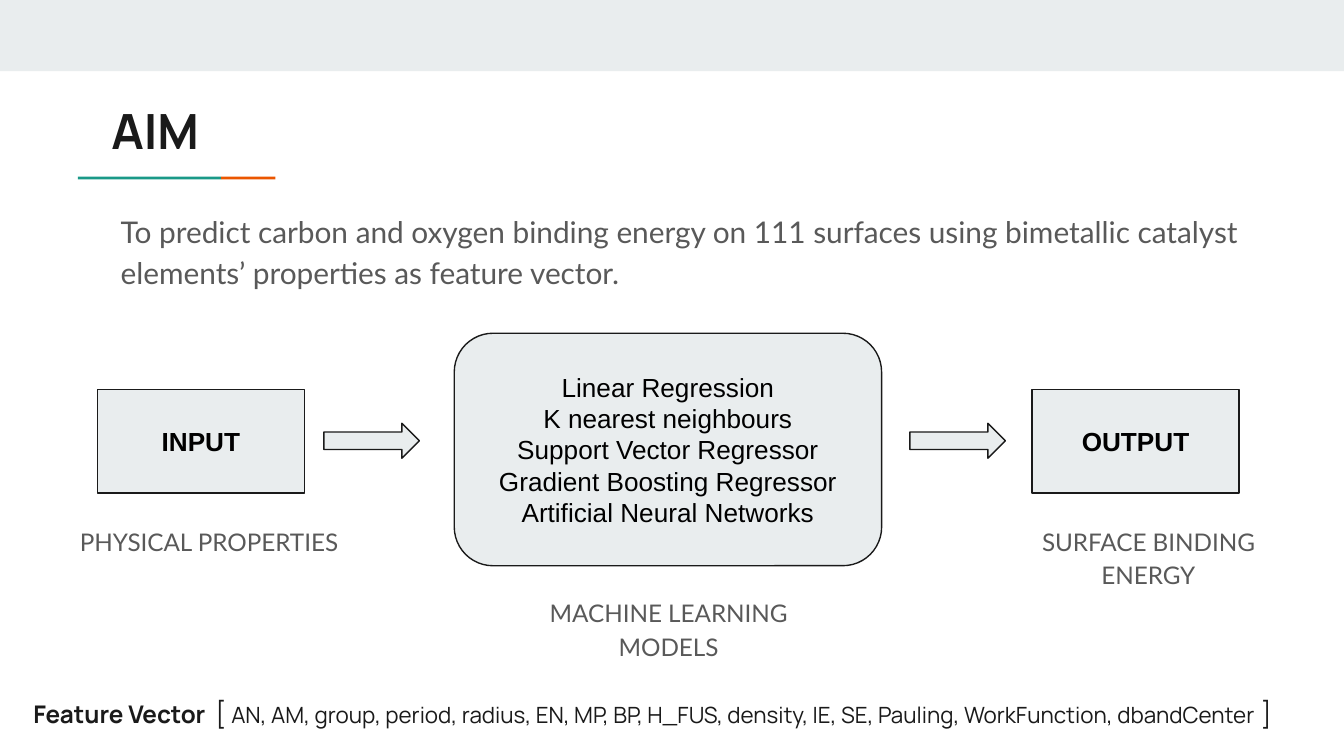
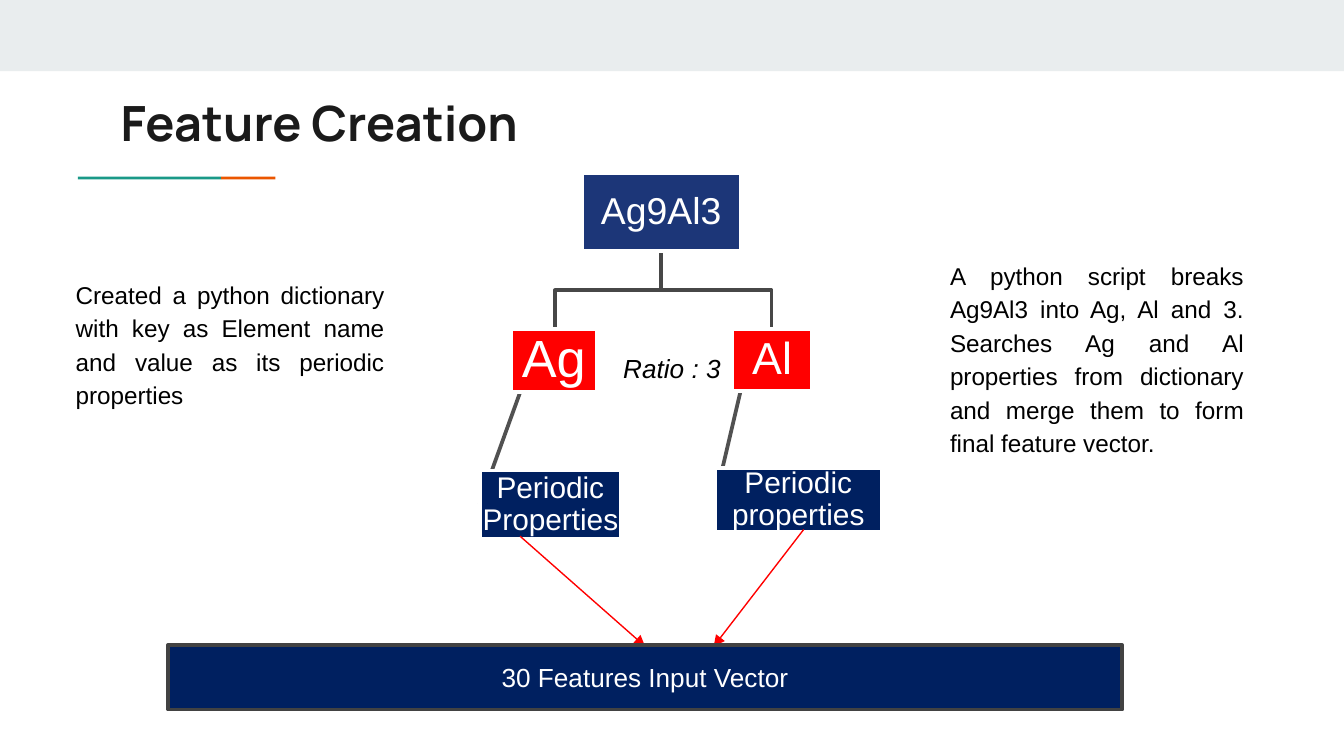
from dataclasses import dataclass

from lxml.etree import SubElement
from pptx import Presentation
from pptx.dml.color import RGBColor as RGB
from pptx.enum.shapes import MSO_CONNECTOR as Link, MSO_SHAPE as Kind
from pptx.enum.text import MSO_ANCHOR as Anchor, PP_ALIGN as Align
from pptx.oxml.ns import qn
from pptx.util import Inches, Pt

# The grid has cells of a tenth of an inch.
COLS, ROWS = 100, 56.25


@dataclass(frozen=True)
class Theme:
    pale: str = "E9EDEE"
    teal: str = "1A9988"
    orange: str = "EB5600"
    ink: str = "1A1A1A"
    grey: str = "595959"
    black: str = "000000"
    white: str = "FFFFFF"
    blue: str = "1C3678"
    navy: str = "002060"
    red: str = "FF0000"
    fork: str = "474747"
    stem: str = "515151"
    edge: str = "424242"
    head: str = "Manrope"
    body: str = "Lato"
    sans: str = "Arial"
    title: int = 26
    lead: int = 16
    label: int = 14
    note: int = 13
    small: int = 12
    thin: float = 0.75
    thick: float = 2


T = Theme()


def cells(*nums):
    return [Inches(n / 10) for n in nums]


def style(font, name, size, color, bold=False, italic=False):
    font.name, font.size = name, Pt(size)
    font.bold, font.italic = bold, italic
    font.color.rgb = RGB.from_string(color)


def stroke(line, color, width):
    line.color.rgb = RGB.from_string(color)
    line.width = Pt(width)


def write(shape, text, name, size, color, align=Align.LEFT, space=1.0,
          anchor=Anchor.TOP, inset=1, **face):
    """Fill a shape with one paragraph for each line of text."""
    frame = shape.text_frame
    frame.word_wrap = True
    frame.vertical_anchor = anchor
    pad, = cells(inset)
    frame.margin_left = frame.margin_right = pad
    frame.margin_top = frame.margin_bottom = pad
    frame.text = text
    for para in frame.paragraphs:
        para.alignment = align
        para.line_spacing = space
        style(para.font, name, size, color, **face)


def label(slide, at, text, *font, **look):
    write(slide.shapes.add_textbox(*cells(*at)), text, *font, **look)


def block(slide, at, fill, line=None, kind=Kind.RECTANGLE):
    """Draw a flat preset shape; line is a colour and a width."""
    shape = slide.shapes.add_shape(kind, *cells(*at))
    shape.shadow.inherit = False
    shape.fill.solid()
    shape.fill.fore_color.rgb = RGB.from_string(fill)
    if line:
        stroke(shape.line, *line)
    else:
        shape.line.fill.background()
    return shape


def panel(slide, at, text, bold=False, kind=Kind.RECTANGLE):
    shape = block(slide, at, T.pale, (T.ink, T.thin), kind)
    write(shape, text, T.sans, T.label, T.black, Align.CENTER,
          anchor=Anchor.MIDDLE, bold=bold)


def node(slide, at, fill, text, size, inset=0.1):
    shape = block(slide, at, fill, (T.white, T.thick))
    write(shape, text, T.sans, size, T.white, Align.CENTER, 0.9,
          Anchor.MIDDLE, inset)


def branch(slide, color, start, *rest):
    pen = slide.shapes.build_freeform(*cells(*start))
    pen.add_line_segments([cells(*spot) for spot in rest], close=False)
    shape = pen.convert_to_shape()
    shape.shadow.inherit = False
    shape.fill.background()
    stroke(shape.line, color, T.thick)


def arrow(slide, start, end):
    link = slide.shapes.add_connector(
        Link.STRAIGHT, *cells(*start), *cells(*end))
    stroke(link.line, T.red, T.thin)
    SubElement(link.line._get_or_add_ln(), qn("a:tailEnd"), type="triangle")
    SubElement(link._element.spPr, qn("a:effectLst"))


def page(deck, title, left, top):
    """Add a slide with the top band, the accent rule and a title."""
    slide = deck.slides.add_slide(deck.slide_layouts[6])
    block(slide, (0, 0, COLS, 5.3), T.pale)
    block(slide, (5.8, 13.15, 10.65, 0.2), T.teal)
    block(slide, (16.45, 13.15, 4.05, 0.2), T.orange)
    label(slide, (left, top, 84.1, 5.9), title,
          T.head, T.title, T.ink, bold=True)
    return slide


def vector(slide):
    """Write the list of features along the foot of the slide."""
    box = slide.shapes.add_textbox(*cells(1.5, 49.1, 97.4, 7.7))
    write(box, "", T.head, T.note, T.ink)
    names = ("AN, AM, group, period, radius, EN, MP, BP, H_FUS, density, "
             "IE, SE, Pauling, WorkFunction, dbandCenter")
    parts = (("Feature Vector", T.note, True), (" ", 27, True),
             ("[ ", T.label, False), (names, T.small, False),
             (" ]", T.label, False))
    for text, size, bold in parts:
        run = box.text_frame.paragraphs[0].add_run()
        run.text = text
        style(run.font, T.head, size, T.ink, bold)


def aim(deck):
    slide = page(deck, "AIM", 7.3, 6.5)
    vector(slide)
    label(slide, (8, 14.5, 90.9, 5.4),
          "To predict carbon and oxygen binding energy on 111 surfaces using "
          "bimetallic catalyst elements’ properties as feature vector.",
          T.body, T.lead, T.grey, space=1.15)
    for left, top, text in ((4.9, 37.9, "PHYSICAL PROPERTIES"),
                            (74.8, 37.9, "SURFACE BINDING ENERGY"),
                            (39.1, 43.2, "MACHINE LEARNING MODELS")):
        label(slide, (left, top, 21.3, 5.9), text,
              T.body, T.note, T.grey, align=Align.CENTER, space=1.15)
    for left, text in ((7.25, "INPUT"), (76.8, "OUTPUT")):
        panel(slide, (left, 29, 15.4, 7.7), text, bold=True)
    models = ("Linear Regression", "K nearest neighbours",
              "Support Vector Regressor", "Gradient Boosting Regressor",
              "Artificial Neural Networks")
    panel(slide, (33.8, 24.8, 31.8, 17.3), "\n".join(models),
          kind=Kind.ROUNDED_RECTANGLE)
    for left in (24.1, 67.7):
        block(slide, (left, 31.5, 7.1, 2.6), T.pale, (T.ink, T.thin),
              Kind.RIGHT_ARROW)


def tree(slide):
    """Split the alloy into its elements and their properties."""
    root, mid = (49.2, 18.7), 21.6
    branch(slide, T.stem, (55.1, 29.1), (53.2, 37.2))
    branch(slide, T.stem, (38.7, 29.2), (35.7, 37.5))
    for col in (57.4, 41.3):
        branch(slide, T.fork, root, (root[0], mid), (col, mid), (col, 24.5))
    node(slide, (43.3, 12.9, 11.8, 5.8), T.blue, "Ag9Al3", 20)
    node(slide, (38, 24.5, 6.4, 4.7), T.red, "Ag", 28, 0.2)
    node(slide, (35.7, 35, 10.5, 5.1), T.navy, "Periodic Properties", T.lead)
    node(slide, (54.5, 24.5, 5.9, 4.6), T.red, "Al", 24, 0.2)
    node(slide, (53.2, 34.8, 12.4, 4.8), T.navy, "Periodic properties", T.lead)


def build(deck):
    slide = page(deck, "Feature Creation", 8, 5.9)
    tree(slide)
    label(slide, (41.4, 24.9, 17.2, 5), "Ratio : 3", T.sans, T.label, T.black,
          align=Align.CENTER, space=1.15, italic=True)
    arrow(slide, (59.8, 39.4), (53.1, 48.1))
    arrow(slide, (38.7, 39.9), (48, 48.1))
    bar = block(slide, (12.5, 48, 71, 4.8), T.navy, (T.edge, T.thick))
    write(bar, "30 Features Input Vector", T.sans, T.label, T.white,
          Align.CENTER, anchor=Anchor.MIDDLE, inset=0.5)
    notes = (
        ((69.7, 18.1, 23.8, 23.7),
         "A python script breaks Ag9Al3 into Ag, Al and 3. Searches Ag and Al "
         "properties from dictionary and merge them to form final feature "
         "vector."),
        ((4.65, 19.5, 24.9, 12),
         "Created a python dictionary with key as Element name and value as "
         "its periodic properties"))
    for at, text in notes:
        label(slide, at, text, T.sans, T.note, T.black,
              align=Align.JUSTIFY, space=1.15)


def main():
    deck = Presentation()
    deck.slide_width, deck.slide_height = cells(COLS, ROWS)
    aim(deck)
    build(deck)
    deck.save("out.pptx")


if __name__ == "__main__":
    main()
